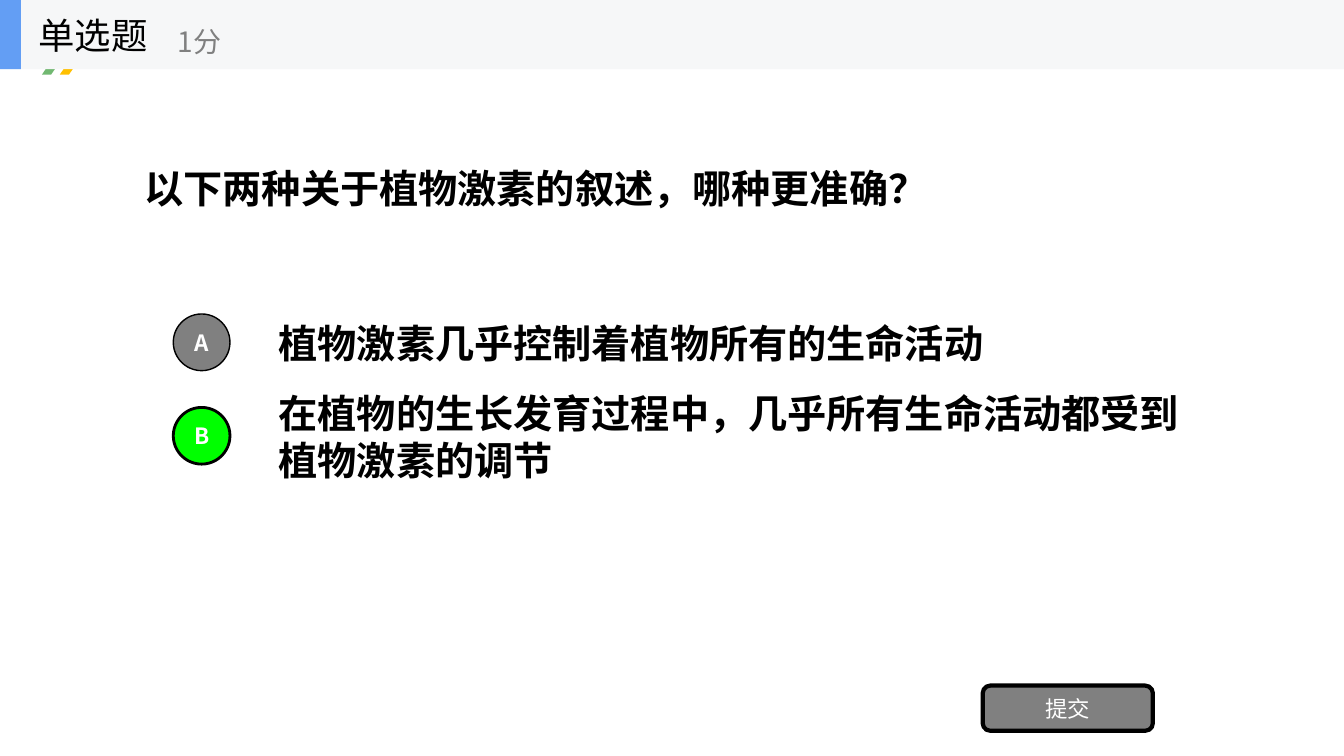
import lxml.etree
import pptx
import pptx.dml.color
import pptx.enum.shapes
import pptx.enum.text
import pptx.oxml.ns
import pptx.util

PX = 9525
FONT = "Noto Sans CJK SC"
COLORS = {
    "black": "000000",
    "white": "FFFFFF",
    "gray": "808080",
    "selected": "00FF00",
    "bar": "F6F7F8",
    "accent": "639EF4",
    "leaf": "71B871",
    "amber": "FFC000",
}
SHAPES = pptx.enum.shapes.MSO_SHAPE
ALIGN = pptx.enum.text.PP_ALIGN


def color(name):
    """Return the named colour."""
    return pptx.dml.color.RGBColor.from_string(COLORS[name])


def px(*lengths):
    """Turn pixel lengths into EMU."""
    return [pptx.util.Emu(length * PX) for length in lengths]


def write(shape, text, size=28, ink="black", bold=False, align=ALIGN.LEFT, wrap=True):
    """Put vertically centred, formatted text in a shape."""
    frame = shape.text_frame
    frame.auto_size = pptx.enum.text.MSO_AUTO_SIZE.NONE
    frame.word_wrap = wrap
    frame.vertical_anchor = pptx.enum.text.MSO_ANCHOR.MIDDLE
    paragraph = frame.paragraphs[0]
    paragraph.alignment = align
    run = paragraph.add_run()
    run.text = text
    run.font.name = FONT
    run.font.size = pptx.util.Pt(size)
    run.font.bold = bold
    run.font.color.rgb = color(ink)
    east_asian = lxml.etree.Element(pptx.oxml.ns.qn("a:ea"), typeface=FONT)
    run.font._element.find(pptx.oxml.ns.qn("a:latin")).addnext(east_asian)


def add_text(shapes, box, text, **text_format):
    """Add a text box with formatted text."""
    write(shapes.add_textbox(*px(*box)), text, **text_format)


def add_block(shapes, kind, box, fill, line=0):
    """Add a flat preset shape with an optional black outline."""
    shape = shapes.add_shape(kind, *px(*box))
    shape.shadow.inherit = False
    shape.fill.solid()
    shape.fill.fore_color.rgb = color(fill)
    if line:
        shape.line.color.rgb = color("black")
        shape.line.width = pptx.util.Pt(line)
    else:
        shape.line.fill.background()
    return shape


def add_chevrons(slide, left, top):
    """Add the pair of chevrons that peeks out below the header."""
    for index, fill in enumerate(("leaf", "amber")):
        box = (left + 17 * index, top, 19, 30)
        add_block(slide.shapes, SHAPES.CHEVRON, box, fill).adjustments[0] = 0.54


def add_header(slide, left, top, width, height):
    """Add the grouped header bar with question type and score."""
    shapes = slide.shapes.add_group_shape().shapes
    add_block(shapes, SHAPES.RECTANGLE, (left, top, width, height), "bar")
    add_block(shapes, SHAPES.RECTANGLE, (left, top, 20, height), "accent")
    add_text(shapes, (left + 27, top, 200, height), "单选题", size=26, wrap=False)
    score_box = (left + 160, top + 12, 240, height - 12)
    add_text(shapes, score_box, "1分", size=20, ink="gray", wrap=False)


def add_question(slide, left, top, width, height, text):
    """Place the question in the title placeholder."""
    title = slide.shapes.title
    title.left, title.top, title.width, title.height = px(left, top, width, height)
    write(title, text, bold=True)


def add_option(slide, left, top, width, height, letter, text, selected=False):
    """Add one answer with its round letter badge."""
    add_text(slide.shapes, (left + 91, top, width - 91, height), text, bold=True)
    diameter = 54
    box = (left, top + (height - diameter) // 2, diameter, diameter)
    fill, line = ("selected", 2) if selected else ("gray", 1)
    badge = add_block(slide.shapes, SHAPES.OVAL, box, fill, line)
    write(badge, letter, size=16, ink="white", bold=True, align=ALIGN.CENTER)


def add_submit(slide, *box):
    """Add the submit button."""
    button = add_block(slide.shapes, SHAPES.ROUNDED_RECTANGLE, box, "gray", 3)
    write(button, "提交", size=16, ink="white", align=ALIGN.CENTER)


def main():
    """Build the single-choice question slide."""
    presentation = pptx.Presentation()
    presentation.slide_width, presentation.slide_height = px(1280, 720)
    slide = presentation.slides.add_slide(presentation.slide_layouts[5])
    add_chevrons(slide, 40, 41)
    add_question(slide, 128, 66, 1024, 225, "以下两种关于植物激素的叙述，哪种更准确？")
    options = (
        ("A", "植物激素几乎控制着植物所有的生命活动"),
        ("B", "在植物的生长发育过程中，几乎所有生命活动都受到植物激素的调节"),
    )
    for index, (letter, text) in enumerate(options):
        top = 293 + 89 * index
        add_option(slide, 165, top, 987, 67, letter, text, selected=letter == "B")
    add_submit(slide, 936, 653, 162, 43)
    add_header(slide, 0, 0, 1280, 66)
    presentation.save("out.pptx")


if __name__ == "__main__":
    main()
